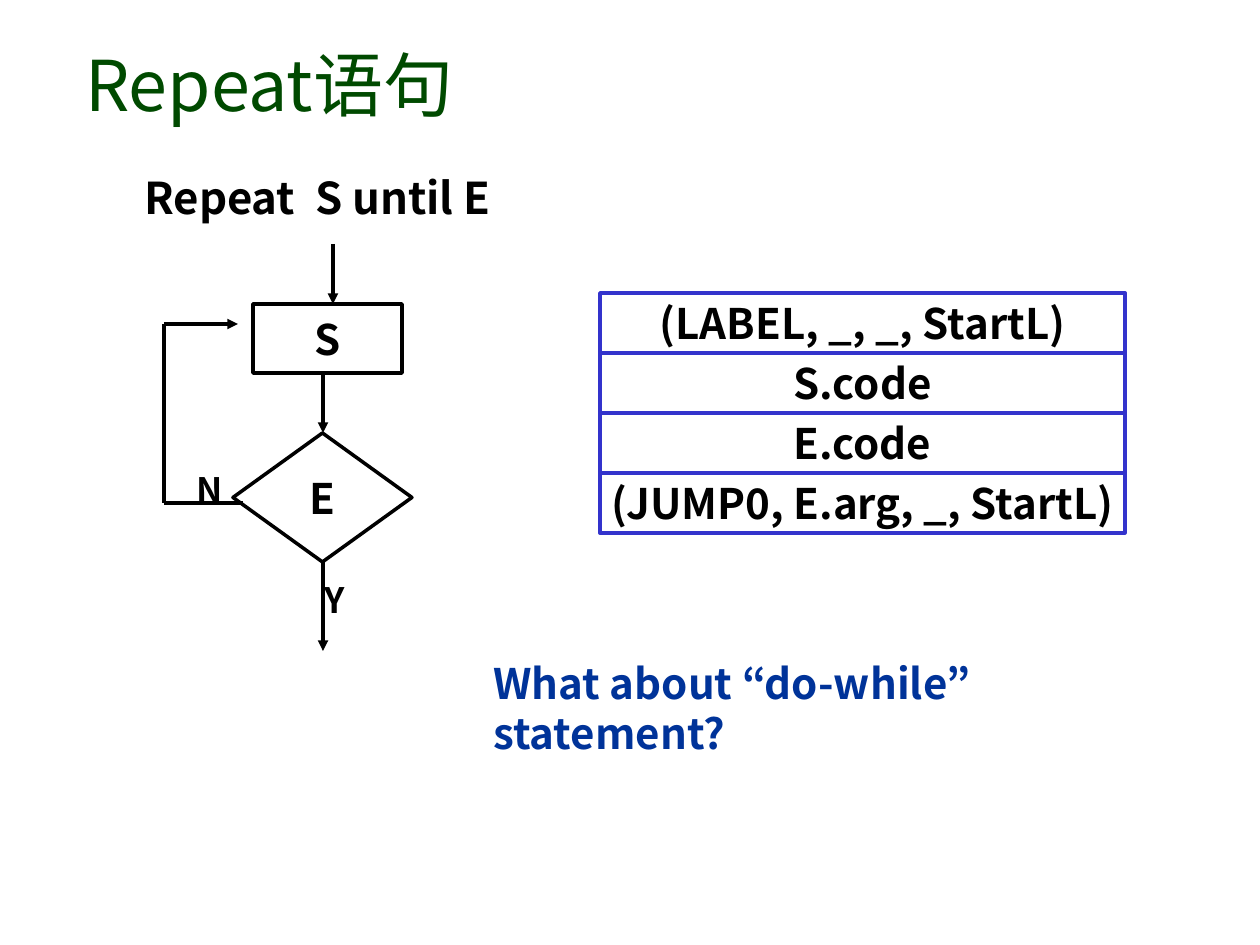
from dataclasses import dataclass

from lxml import etree
from pptx import Presentation
from pptx.dml.color import RGBColor
from pptx.enum.shapes import MSO_CONNECTOR, MSO_SHAPE
from pptx.enum.text import MSO_ANCHOR, PP_ALIGN
from pptx.oxml.ns import qn
from pptx.util import Emu, Pt

PX = 914400 / 126
SLIDE_WIDTH, SLIDE_HEIGHT = 1260, 945
BLANK_LAYOUT = 6
STRAIGHT = MSO_CONNECTOR.STRAIGHT
PROCESS = MSO_SHAPE.FLOWCHART_PROCESS
DECISION = MSO_SHAPE.FLOWCHART_DECISION
RECTANGLE = MSO_SHAPE.RECTANGLE
LEFT, CENTER = PP_ALIGN.LEFT, PP_ALIGN.CENTER
TOP, MIDDLE = MSO_ANCHOR.TOP, MSO_ANCHOR.MIDDLE


@dataclass(frozen=True)
class Theme:
    font: str = "Noto Sans CJK KR"
    title: str = "004A00"
    ink: str = "000000"
    code_border: str = "3333CC"
    question: str = "003399"
    title_size: int = 40
    heading_size: int = 25
    body_size: int = 24
    branch_size: int = 20
    line_width: int = 2


def px(length):
    return Emu(round(length * PX))


class SlideBuilder:
    def __init__(self, slide, theme):
        self.slide = slide
        self.theme = theme

    def fill_text(self, shape, text, size, color, bold=True, align=LEFT, anchor=TOP, wrap=True):
        frame = shape.text_frame
        frame.word_wrap = wrap
        frame.vertical_anchor = anchor
        paragraph = frame.paragraphs[0]
        paragraph.alignment = align
        run = paragraph.add_run()
        run.text = text
        run.font.name = self.theme.font
        run.font.size = Pt(size)
        run.font.bold = bold
        run.font.color.rgb = RGBColor.from_string(color)
        east_asian = etree.Element(qn("a:ea"), typeface=self.theme.font)
        run.font._element.find(qn("a:latin")).addnext(east_asian)

    def text(self, box, text, size, color, **style):
        shape = self.slide.shapes.add_textbox(*map(px, box))
        self.fill_text(shape, text, size, color, **style)

    def node(self, kind, box, text, border):
        """Draw an unfilled outlined shape with a centred label."""
        shape = self.slide.shapes.add_shape(kind, *map(px, box))
        shape.shadow.inherit = False
        shape.fill.background()
        shape.line.color.rgb = RGBColor.from_string(border)
        shape.line.width = Pt(self.theme.line_width)
        self.fill_text(shape, text, self.theme.body_size, self.theme.ink,
                       align=CENTER, anchor=MIDDLE, wrap=False)

    def line(self, start, end, arrow=False):
        connector = self.slide.shapes.add_connector(STRAIGHT, *map(px, start + end))
        connector.line.color.rgb = RGBColor.from_string(self.theme.ink)
        connector.line.width = Pt(self.theme.line_width)
        properties = connector._element.spPr
        if arrow:
            etree.SubElement(properties.find(qn("a:ln")), qn("a:tailEnd"), type="triangle")
        etree.SubElement(properties, qn("a:effectLst"))


def draw_flowchart(builder, theme):
    axis, loop_x, loop_top, loop_bottom = 323, 164, 324, 503
    builder.node(DECISION, (233, 433, 179, 129), "E", theme.ink)
    builder.node(PROCESS, (253, 304, 149, 69), "S", theme.ink)
    builder.line((333, 244), (333, 304), arrow=True)
    builder.line((axis, 373), (axis, 433), arrow=True)
    builder.line((axis, 562), (axis, 651), arrow=True)
    builder.line((loop_x, loop_bottom), (243, loop_bottom))
    builder.line((loop_x, loop_bottom), (loop_x, loop_top))
    builder.line((loop_x, loop_top), (238, loop_top), arrow=True)
    for label, left, top in (("N", 184, 462), ("Y", 312, 572)):
        builder.text((left, top, 59, 54), label, theme.branch_size, theme.ink)


def draw_code_layout(builder, theme):
    left, top, width, row_height = 600, 293, 525, 60
    rows = ("(LABEL, _, _, StartL)", "S.code", "E.code", "(JUMP0, E.arg, _, StartL)")
    for index, code in enumerate(rows):
        box = (left, top + index * row_height, width, row_height)
        builder.node(RECTANGLE, box, code, theme.code_border)


def main():
    theme = Theme()
    presentation = Presentation()
    presentation.slide_width = px(SLIDE_WIDTH)
    presentation.slide_height = px(SLIDE_HEIGHT)
    slide = presentation.slides.add_slide(presentation.slide_layouts[BLANK_LAYOUT])
    builder = SlideBuilder(slide, theme)

    builder.text((73, 21, 1070, 126), "Repeat语句", theme.title_size, theme.title,
                 bold=False, anchor=MIDDLE)
    builder.text((64, 165, 507, 79), "Repeat  S until E", theme.heading_size, theme.ink,
                 align=CENTER)
    draw_flowchart(builder, theme)
    draw_code_layout(builder, theme)
    builder.text((481, 651, 714, 113), "What about “do-while” statement?",
                 theme.body_size, theme.question)
    presentation.save("out.pptx")


if __name__ == "__main__":
    main()
